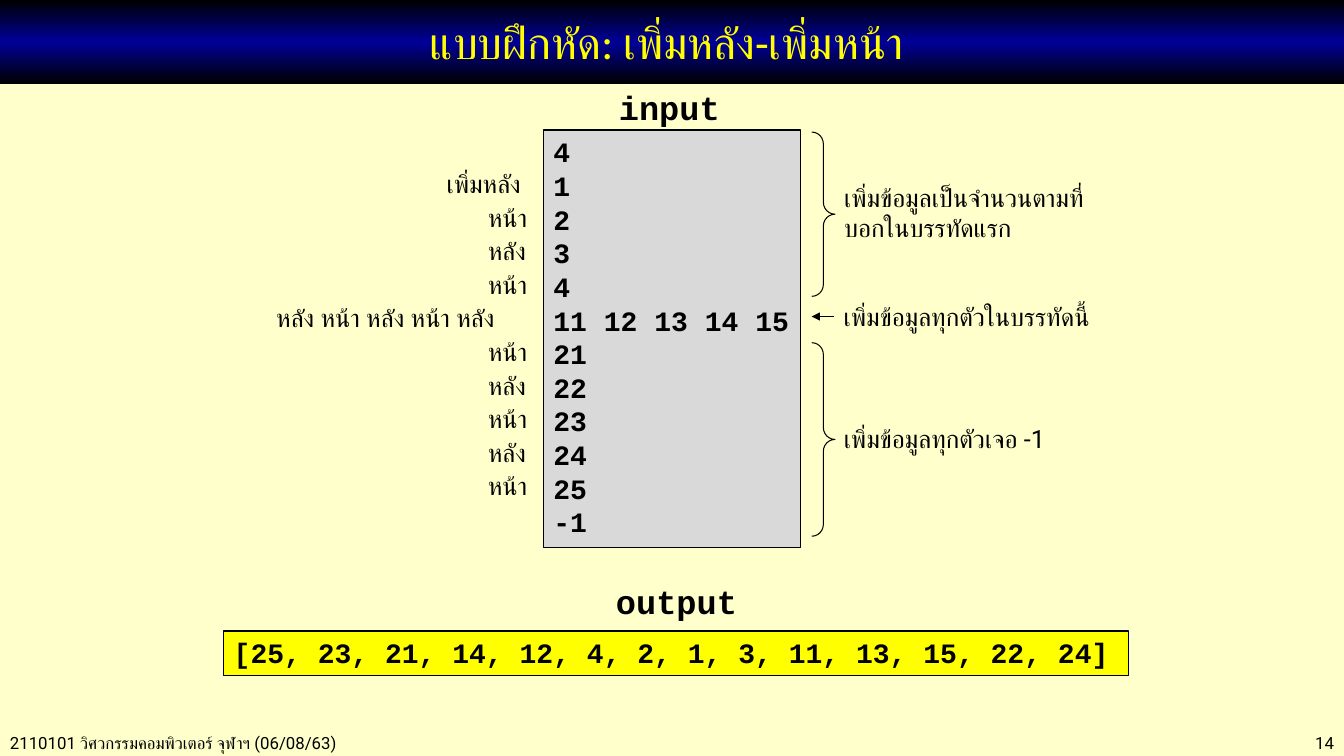
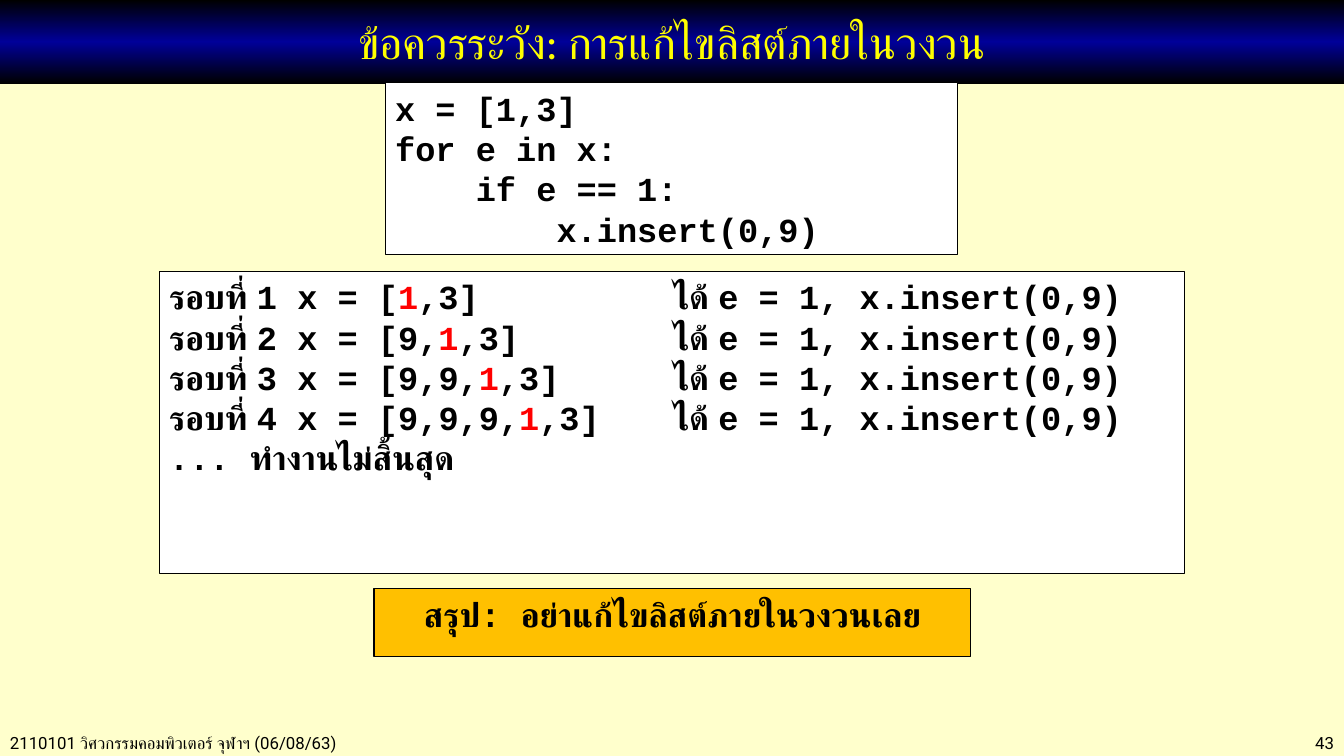
"""Build two lecture slides about adding to lists and changing them in loops."""
from copy import deepcopy
from typing import NamedTuple

from lxml.etree import SubElement as Sub
from pptx import Presentation
from pptx.dml.color import RGBColor as Rgb
from pptx.enum.shapes import MSO_CONNECTOR as Conn, MSO_SHAPE as Kind
from pptx.enum.text import MSO_ANCHOR as Anchor, PP_ALIGN as Align
from pptx.oxml.ns import qn
from pptx.util import Inches, Pt

WIDE, HIGH = Inches(13.33), Inches(7.5)
INK, RED, GOLD, WHITE = "000000", "FF0000", "FFC000", "FFFFFF"
CREAM, NAVY, SUN, GREY = "FFFFCC", "000099", "FFFF00", "D9D9D9"
FOOT = "2110101 วิศวกรรมคอมพิวเตอร์ จุฬาฯ (06/08/63)"
ROW, FIRST, EDGE = 40 / 9, 21.6, 40.44
TAB = Inches(5)


class Area(NamedTuple):
    """Left, top, width and height in percent of the slide."""
    x: float
    y: float
    w: float
    h: float


class Style(NamedTuple):
    """Look of a text block."""
    name: str
    size: int
    bold: bool = False
    color: str = INK
    align: Align = Align.LEFT


class Block(NamedTuple):
    """Text lines in an area, in a bordered box when a fill is given."""
    area: Area
    lines: list[str]
    style: Style
    fill: str = ""


HEAD = Style("Calibri", 32, color=SUN, align=Align.CENTER)
NOTE = Style("Roboto", 18)
SMALL = Style("Roboto", 12)
CODE = Style("Courier New", 20, True)
LARGE = CODE._replace(size=24)


def paint(color, tone: str) -> None:
    """Set a colour from a hex string."""
    color.rgb = Rgb.from_string(tone)


def place(area: Area) -> tuple[int, int, int, int]:
    """Turn percent shares into slide lengths."""
    return tuple(int(v * full / 100) for v, full in zip(area, (WIDE, HIGH) * 2))


def edge(shape) -> None:
    """Draw a thin black line without a shadow."""
    shape.line.width = Pt(0.75)
    paint(shape.line.color, INK)


def write(shape, lines: list[str], style: Style, anchor: Anchor = Anchor.TOP) -> None:
    """Fill a shape with lines; text between bars is red."""
    frame = shape.text_frame
    for key, val in {"word_wrap": True, "vertical_anchor": anchor}.items():
        setattr(frame, key, val)
    for i, line in enumerate(lines):
        para = frame.add_paragraph() if i else frame.paragraphs[0]
        para.alignment = style.align
        if "\t" in line:
            tabs = Sub(para._p.get_or_add_pPr(), qn("a:tabLst"))
            Sub(tabs, qn("a:tab"), pos=str(TAB), algn="l")
        para.line_spacing = Pt(style.size * 1.2)
        for k, part in enumerate(line.split("|")):
            run = para.add_run()
            run.text = part
            look = {"name": style.name, "size": Pt(style.size), "bold": style.bold}
            for key, val in look.items():
                setattr(run.font, key, val)
            paint(run.font.color, RED if k % 2 else style.color)


def draw(slide, block: Block):
    """Draw one text block."""
    spot = place(block.area)
    if block.fill:
        shape = slide.shapes.add_shape(Kind.RECTANGLE, *spot)
        shape.shadow.inherit = False
        shape.fill.solid()
        paint(shape.fill.fore_color, block.fill)
        edge(shape)
    else:
        shape = slide.shapes.add_textbox(*spot)
    write(shape, block.lines, block.style)
    return shape


def brace(slide, area: Area) -> None:
    """Draw a right brace."""
    shape = slide.shapes.add_shape(Kind.RIGHT_BRACE, *place(area))
    shape.shadow.inherit = False
    shape.fill.background()
    shape.adjustments[0] = 0.51
    edge(shape)


def arrow(slide, box, x: float) -> None:
    """Draw an arrow from the left side of a box to a point on its level."""
    y = box.top + box.height // 2
    line = slide.shapes.add_connector(Conn.STRAIGHT, box.left, y, int(x * WIDE / 100), y)
    line.begin_connect(box, 1)
    edge(line)
    Sub(line.line._get_or_add_ln(), qn("a:tailEnd"), type="triangle")
    Sub(line._element.spPr, qn("a:effectLst"))


def start(deck, title: str, page: int):
    """Add a slide with title band and footer."""
    slide = deck.slides.add_slide(deck.slide_layouts[5])
    band = slide.shapes.title
    spot = place(Area(0, 0, 100, 11.07))
    for key, val in zip(("left", "top", "width", "height"), spot):
        setattr(band, key, val)
    band.fill.gradient()
    band.fill.gradient_angle = 90
    stops = band._element.find(".//" + qn("a:gsLst"))
    stops.insert(1, deepcopy(stops[0]))
    for stop, pos, tone in zip(band.fill.gradient_stops, (0, 0.5, 1), (INK, NAVY, INK)):
        stop.position = pos
        paint(stop.color, tone)
    write(band, [title], HEAD, Anchor.MIDDLE)
    draw(slide, Block(Area(0, 96.27, 39, 4), [FOOT], SMALL))
    right = SMALL._replace(align=Align.RIGHT)
    draw(slide, Block(Area(86.27, 96.27, 13.73, 4), [str(page)], right))
    return slide


def drill(deck) -> None:
    """Build the exercise slide."""
    slide = start(deck, "แบบฝึกหัด: เพิ่มหลัง-เพิ่มหน้า ", 14)
    data = "4 1 2 3 4".split() + ["11 12 13 14 15"] + "21 22 23 24 25 -1".split()
    blocks = [
        Block(Area(EDGE, 17.2, 19.13, 55.2), data, CODE, GREY),
        Block(Area(45.31, 10.8, 9.08, 6.67), ["input"], LARGE),
        Block(Area(16.65, 83.47, 67.29, 5.87),
              ["[25, 23, 21, 14, 12, 4, 2, 1, 3, 11, 13, 15, 22, 24]"], CODE, SUN),
        Block(Area(45.09, 76.13, 10.65, 6.67), ["output"], LARGE),
        Block(Area(62.08, 23.47, 20.41, 9.47),
              ["เพิ่มข้อมูลเป็นจำนวนตามที่บอกในบรรทัดแรก"], NOTE),
        Block(Area(62.04, 55.33, 19.13, 5.33), ["เพิ่มข้อมูลทุกตัวเจอ -1"], NOTE),
    ]
    back, front = "หลัง", "หน้า"
    wide = {"เพิ่มหลัง": 7.95, "หลัง หน้า หลัง หน้า หลัง": 20.63}
    lead, mix = wide
    marks = [lead, front, back, front, mix, front, back, front, back, front]
    for i, mark in enumerate(marks):
        w = wide.get(mark, 4.88)
        blocks.append(Block(Area(EDGE - w, FIRST + i * ROW, w, 5.33), [mark], NOTE))
    for block in blocks:
        draw(slide, block)
    for y, h in ((17.47, 21.73), (45.33, 25.6)):
        brace(slide, Area(60.4, y, 1.73, h))
    hint = draw(slide, Block(Area(62.04, 39.2, 23.93, 5.33),
                             ["เพิ่มข้อมูลทุกตัวในบรรทัดนี้"], NOTE))
    arrow(slide, hint, 60.39)


def warn(deck) -> None:
    """Build the warning slide."""
    slide = start(deck, "ข้อควรระวัง: การแก้ไขลิสต์ภายในวงวน", 43)
    code = ["x = [1,3]", "for e in x:", "    if e == 1:", "        x.insert(0,9)"]
    turns = [f"รอบที่ {n} x = [{'9,' * (n - 1)}|1|,3]\tได้ e = 1, x.insert(0,9)"
             for n in range(1, 5)]
    for block in (
        Block(Area(28.66, 10.93, 42.61, 22.8), code, LARGE, WHITE),
        Block(Area(11.85, 35.87, 76.29, 40), turns + ["... ทำงานไม่สิ้นสุด"], LARGE, WHITE),
        Block(Area(27.83, 77.87, 44.41, 8.93), ["สรุป: อย่าแก้ไขลิสต์ภายในวงวนเลย"],
              LARGE._replace(align=Align.CENTER), GOLD),
    ):
        draw(slide, block)


def main() -> None:
    """Build and save the deck."""
    deck = Presentation()
    deck.slide_width, deck.slide_height = WIDE, HIGH
    back = deck.slide_master.background.fill
    back.solid()
    paint(back.fore_color, CREAM)
    drill(deck)
    warn(deck)
    deck.save("out.pptx")


if __name__ == "__main__":
    main()
